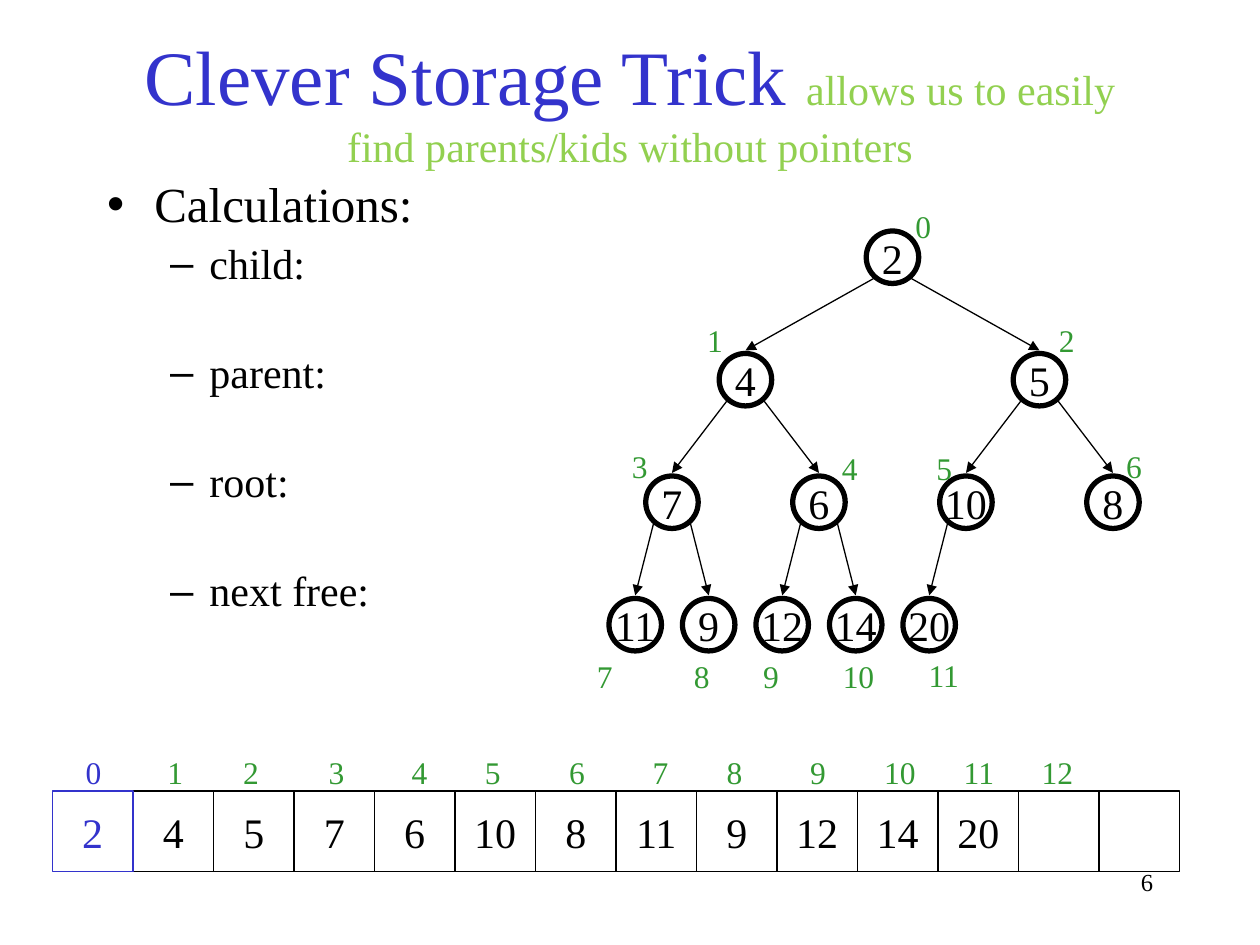
from dataclasses import dataclass

from lxml.etree import SubElement
from pptx import Presentation
from pptx.dml.color import RGBColor
from pptx.enum.shapes import MSO_CONNECTOR, MSO_SHAPE
from pptx.enum.text import MSO_ANCHOR, MSO_AUTO_SIZE, PP_ALIGN
from pptx.oxml.ns import qn
from pptx.util import Pt


@dataclass(frozen=True)
class Theme:
    font: str = "Times New Roman"
    black: RGBColor = RGBColor(0x00, 0x00, 0x00)
    blue: RGBColor = RGBColor(0x33, 0x33, 0xCC)
    green: RGBColor = RGBColor(0x33, 0x99, 0x33)
    lime: RGBColor = RGBColor(0x92, 0xD0, 0x50)
    title_size: int = 44
    heading_size: int = 28
    text_size: int = 24
    label_size: int = 18
    number_size: int = 14


THEME = Theme()
HEAP = [2, 4, 5, 7, 6, 10, 8, 11, 9, 12, 14, 20]
CELL_COUNT = 14

# Index label positions, measured from the node's top left corner
NODE_LABEL_OFFSETS = [
    (21, -17), (-14, -22), (19, -22), (-15, -20), (21, -19), (-9, -19),
    (15.5, -20), (-14, 30), (-0.5, 30), (-3, 30), (0.5, 30), (7.5, 29.5),
]
# Index label positions, measured from the cell's left edge
CELL_LABEL_OFFSETS = [11.8, 12.6, 9.8, 12.7, 14.2, 10, 12.2, 13.8, 10.2, 11.8, 8.2, 7.6, 6.2]


def place(shape, left, top, width, height):
    shape.left, shape.top, shape.width, shape.height = map(Pt, (left, top, width, height))


def add_run(paragraph, text, size, color):
    run = paragraph.add_run()
    run.text = text
    run.font.name = THEME.font
    run.font.size = Pt(size)
    run.font.color.rgb = color


def add_text(slide, text, left, top, width, height, size, color):
    box = slide.shapes.add_textbox(Pt(left), Pt(top), Pt(width), Pt(height))
    paragraph = box.text_frame.paragraphs[0]
    add_run(paragraph, text, size, color)
    return box


def add_index(slide, index, left, top, color=THEME.green):
    text = str(index)
    box = add_text(slide, text, left, top, 14.4 + 9 * len(text), 28.8, THEME.label_size, color)
    box.text_frame.word_wrap = False
    box.text_frame.auto_size = MSO_AUTO_SIZE.SHAPE_TO_FIT_TEXT


def add_value_shape(shapes, kind, text, left, top, size, line_width, color=THEME.black):
    shape = shapes.add_shape(kind, Pt(left), Pt(top), Pt(size), Pt(size))
    shape.shadow.inherit = False
    shape.fill.background()
    shape.line.color.rgb = color
    shape.line.width = Pt(line_width)
    frame = shape.text_frame
    frame.word_wrap = False
    frame.vertical_anchor = MSO_ANCHOR.MIDDLE
    if text:
        frame.paragraphs[0].alignment = PP_ALIGN.CENTER
        add_run(frame.paragraphs[0], text, THEME.text_size, color)


def add_arrow(shapes, start, end):
    arrow = shapes.add_connector(MSO_CONNECTOR.STRAIGHT, *map(Pt, start + end))
    arrow.line.color.rgb = THEME.black
    arrow.line.width = Pt(0.75)
    SubElement(arrow.line._get_or_add_ln(), qn("a:tailEnd"), type="triangle")
    SubElement(arrow._element.spPr, qn("a:effectLst"))


def add_title(slide, left, top, width, height):
    title = slide.shapes.title
    place(title, left, top, width, height)
    frame = title.text_frame
    frame.auto_size = MSO_AUTO_SIZE.NONE
    frame.vertical_anchor = MSO_ANCHOR.MIDDLE
    paragraph = frame.paragraphs[0]
    paragraph.alignment = PP_ALIGN.CENTER
    add_run(paragraph, "Clever Storage Trick ", THEME.title_size, THEME.blue)
    add_run(paragraph, "allows us to easily find parents/kids without pointers",
            THEME.text_size, THEME.lime)


def add_calculations(slide, left, top, width, height):
    body = slide.placeholders[1]
    place(body, left, top, width, height)
    frame = body.text_frame
    frame.auto_size = MSO_AUTO_SIZE.NONE
    frame.margin_top = Pt(7)
    # text, level, size, space before, left margin, hanging indent, bullet
    items = [("Calculations:", 0, THEME.heading_size, 0, 27, 27, "•")]
    for position, text in enumerate(["child:", "parent:", "root:", "next free:"]):
        gap = 36.5 if position else 5.5
        items.append((text, 1, THEME.text_size, gap, 58.5, 22.5, "–"))
    for position, (text, level, size, gap, margin, hanging, bullet) in enumerate(items):
        paragraph = frame.add_paragraph() if position else frame.paragraphs[0]
        paragraph.level = level
        paragraph.line_spacing = 0.9
        paragraph.space_before = Pt(gap)
        properties = paragraph._p.get_or_add_pPr()
        properties.set("marL", str(Pt(margin)))
        properties.set("indent", str(-Pt(hanging)))
        SubElement(properties, qn("a:buChar"), char=bullet)
        add_run(paragraph, text, size, THEME.black)


def add_tree(slide, left, top, width, level_height):
    node_size = 30
    corner = 10.5  # from a node's middle to its lower corners

    # Each level shares the width equally among its nodes
    centers = []
    for index in range(len(HEAP)):
        level = (index + 1).bit_length() - 1
        slots = 2 ** level
        slot = index + 1 - slots
        centers.append((left + width * (slot + 0.5) / slots, top + level * level_height))

    tree = slide.shapes.add_group_shape().shapes
    for value, (center, node_top) in zip(HEAP, centers):
        add_value_shape(tree, MSO_SHAPE.OVAL, str(value),
                        center - node_size / 2, node_top, node_size, 3)
    for child in range(1, len(HEAP)):
        parent_center, parent_top = centers[(child - 1) // 2]
        child_center, child_top = centers[child]
        side = -corner if child % 2 else corner
        add_arrow(tree, (parent_center + side, parent_top + 27), (child_center, child_top - 1.75))

    # Index labels
    for index, ((center, node_top), (across, down)) in enumerate(zip(centers, NODE_LABEL_OFFSETS)):
        add_index(slide, index, center - node_size / 2 + across, node_top + down)


def add_array(slide, left, top, cell_size):
    # The blue root cell is drawn last, over its neighbour's edge
    for index in [*range(1, CELL_COUNT), 0]:
        text = str(HEAP[index]) if index < len(HEAP) else ""
        color = THEME.black if index else THEME.blue
        add_value_shape(slide.shapes, MSO_SHAPE.RECTANGLE, text,
                        left + index * cell_size, top, cell_size, 0.75, color)
    for index, offset in enumerate(CELL_LABEL_OFFSETS):
        color = THEME.green if index else THEME.blue
        add_index(slide, index, left + index * cell_size + offset, top - 25, color)


def add_slide_number(slide, left, top, width, height):
    box = add_text(slide, "6", left, top, width, height, THEME.number_size, THEME.black)
    box.text_frame.word_wrap = True
    box.text_frame.paragraphs[0].alignment = PP_ALIGN.RIGHT


def main():
    presentation = Presentation()
    presentation.slide_width, presentation.slide_height = Pt(720), Pt(540)
    slide = presentation.slides.add_slide(presentation.slide_layouts[1])
    add_title(slide, 54, 12, 612, 90)
    add_calculations(slide, 54, 96, 276, 252)
    add_tree(slide, 342, 132, 336, 70)
    add_array(slide, 30, 452, 46)
    add_slide_number(slide, 516, 492, 150, 36)
    presentation.save("out.pptx")


if __name__ == "__main__":
    main()
